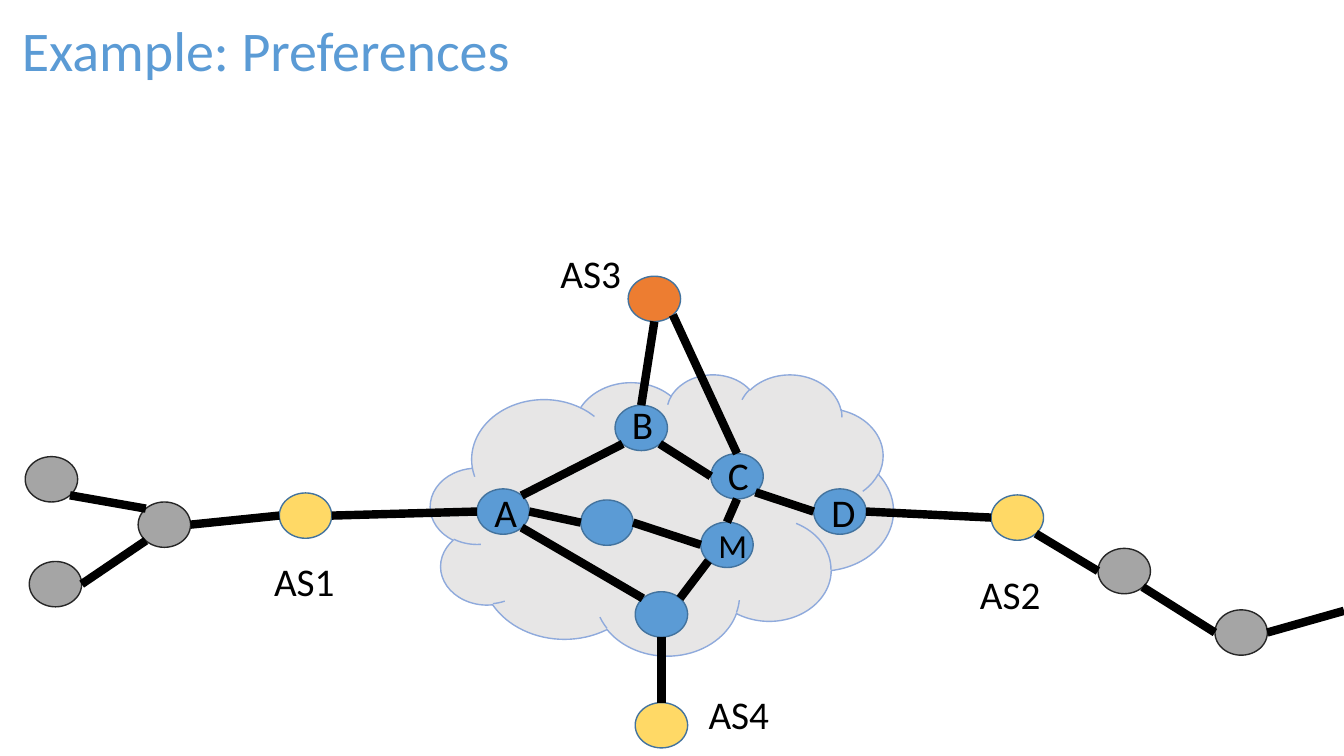
from math import sqrt

from lxml import etree
from pptx import Presentation, util as u
from pptx.dml.color import RGBColor
from pptx.enum import shapes, text
from pptx.oxml.ns import qn

# Content: lengths in px, 100 to the inch
SLIDE = (1333, 750)
NODE = (52, 45)
CLOUD = (427, 371, 459, 279)
TITLE = ("Example: Preferences", (-1, -5, 529, 93))

# name: (left, top, kind, letter, letter size)
NODES = {
    "A": (473, 485, "inner", "A", "label"),
    "hub": (576, 496, "inner", "", "label"),
    "B": (610, 402, "inner", "", "label"),
    "south": (630, 587, "inner", "", "label"),
    "D": (807, 485, "inner", "D", "label"),
    "AS1": (277, 489, "peer", "", "label"),
    "AS2": (983, 491, "peer", "", "label"),
    "C": (705, 450, "inner", "", "label"),
    "M": (695, 518, "inner", "M", "small"),
    "west top": (25, 453, "outer", "", "label"),
    "west low": (29, 557, "outer", "", "label"),
    "west": (137, 498, "outer", "", "label"),
    "east": (1089, 544, "outer", "", "label"),
    "far east": (1205, 605, "outer", "", "label"),
    "AS3": (623, 274, "origin", "", "label"),
    "AS4": (630, 697, "peer", "", "label"),
}

# (node, side, node, side); sides are compass points
LINKS = [
    ("B", "se", "C", "w"), ("C", "se", "D", "w"), ("C", "s", "M", "n"),
    ("M", "sw", "south", "ne"), ("M", "w", "hub", "e"), ("B", "sw", "A", "ne"),
    ("A", "e", "hub", "w"), ("D", "e", "AS2", "w"), ("A", "w", "AS1", "e"),
    ("AS1", "w", "west", "e"), ("west", "nw", "west top", "se"),
    ("west", "sw", "west low", "e"), ("east", "w", "AS2", "se"),
    ("far east", "w", "east", "se"), ("south", "s", "AS4", "n"),
    ("AS3", "s", "B", "n"), ("AS3", "se", "C", "n"), ("south", "nw", "A", "se"),
]
EDGE_POINT = (1333, 606)

# (text, box, line spacing)
LABELS = [
    ("AS1", (262, 557, 96, 51), 0.8),
    ("AS2", (962, 570, 95, 48), 0.8),
    ("B", (617, 398, 64, 66), 0.9),
    ("C", (712, 448, 47, 66), 0.9),
    ("AS3", (546, 248, 108, 66), 0.9),
    ("AS4", (693, 685, 87, 57), 0.9),
]

THEME = {
    "font": "Calibri",
    "size": {"title": 40, "label": 28, "small": 24},
    "ink": "000000",
    "title": "5B9BD5",
    "cloud": ("E7E6E6", "8FAADC"),
    "inner": ("5B9BD5", "43739E"),
    "peer": ("FFD966", "43739E"),
    "outer": ("A5A5A5", "262626"),
    "origin": ("ED7D31", "43739E"),
    "outline": 1,
    "link": 6,
}

SCALE = 9144
COMPASS = {"n": (0, -1), "s": (0, 1), "e": (1, 0), "w": (-1, 0)}

prs = Presentation()
prs.slide_width, prs.slide_height = (v * SCALE for v in SLIDE)
s = prs.slides.add_slide(prs.slide_layouts[6])


def emu(values):
    return [round(v * SCALE) for v in values]


def write(sp, content, size="label", color=THEME["ink"], spacing=1.0,
          align=text.PP_ALIGN.LEFT, anchor=text.MSO_ANCHOR.TOP):
    tf = sp.text_frame
    tf.word_wrap = True
    tf.vertical_anchor = anchor
    p = tf.paragraphs[0]
    p.alignment = align
    p.line_spacing = spacing
    r = p.add_run()
    r.text = content
    r.font.name = THEME["font"]
    r.font.size = u.Pt(THEME["size"][size])
    r.font.color.rgb = RGBColor.from_string(color)


def add_shape(preset, box, kind):
    fill, line = THEME[kind]
    sp = s.shapes.add_shape(preset, *emu(box))
    sp.shadow.inherit = False
    sp.fill.solid()
    sp.fill.fore_color.rgb = RGBColor.from_string(fill)
    sp.line.color.rgb = RGBColor.from_string(line)
    sp.line.width = u.Pt(THEME["outline"])
    return sp


def site(name, side):
    """Point on a node's rim in the given compass direction."""
    left, top = NODES[name][:2]
    dx, dy = (sum(COMPASS[c][i] for c in side) / sqrt(len(side)) for i in (0, 1))
    return left + NODE[0] / 2 * (1 + dx), top + NODE[1] / 2 * (1 + dy)


def add_link(start, end):
    cx = s.shapes.add_connector(shapes.MSO_CONNECTOR.STRAIGHT, *emu(start + end))
    cx.line.color.rgb = RGBColor.from_string(THEME["ink"])
    cx.line.width = u.Pt(THEME["link"])
    etree.SubElement(cx._element.spPr, qn("a:effectLst"))


# Title
title, box = TITLE
write(s.shapes.add_textbox(*emu(box)), title, size="title", color=THEME["title"],
      spacing=0.9, align=text.PP_ALIGN.CENTER, anchor=text.MSO_ANCHOR.BOTTOM)

# Cloud and nodes
add_shape(shapes.MSO_SHAPE.CLOUD, CLOUD, "cloud")
for left, top, kind, letter, size in NODES.values():
    node = add_shape(shapes.MSO_SHAPE.OVAL, (left, top, *NODE), kind)
    if letter:
        write(node, letter, size=size, align=text.PP_ALIGN.CENTER,
              anchor=text.MSO_ANCHOR.MIDDLE)

# Links
for start, start_side, end, end_side in LINKS:
    add_link(site(start, start_side), site(end, end_side))
add_link(EDGE_POINT, site("far east", "e"))

# Labels
for label, box, spacing in LABELS:
    write(s.shapes.add_textbox(*emu(box)), label, spacing=spacing)

prs.save("out.pptx")
